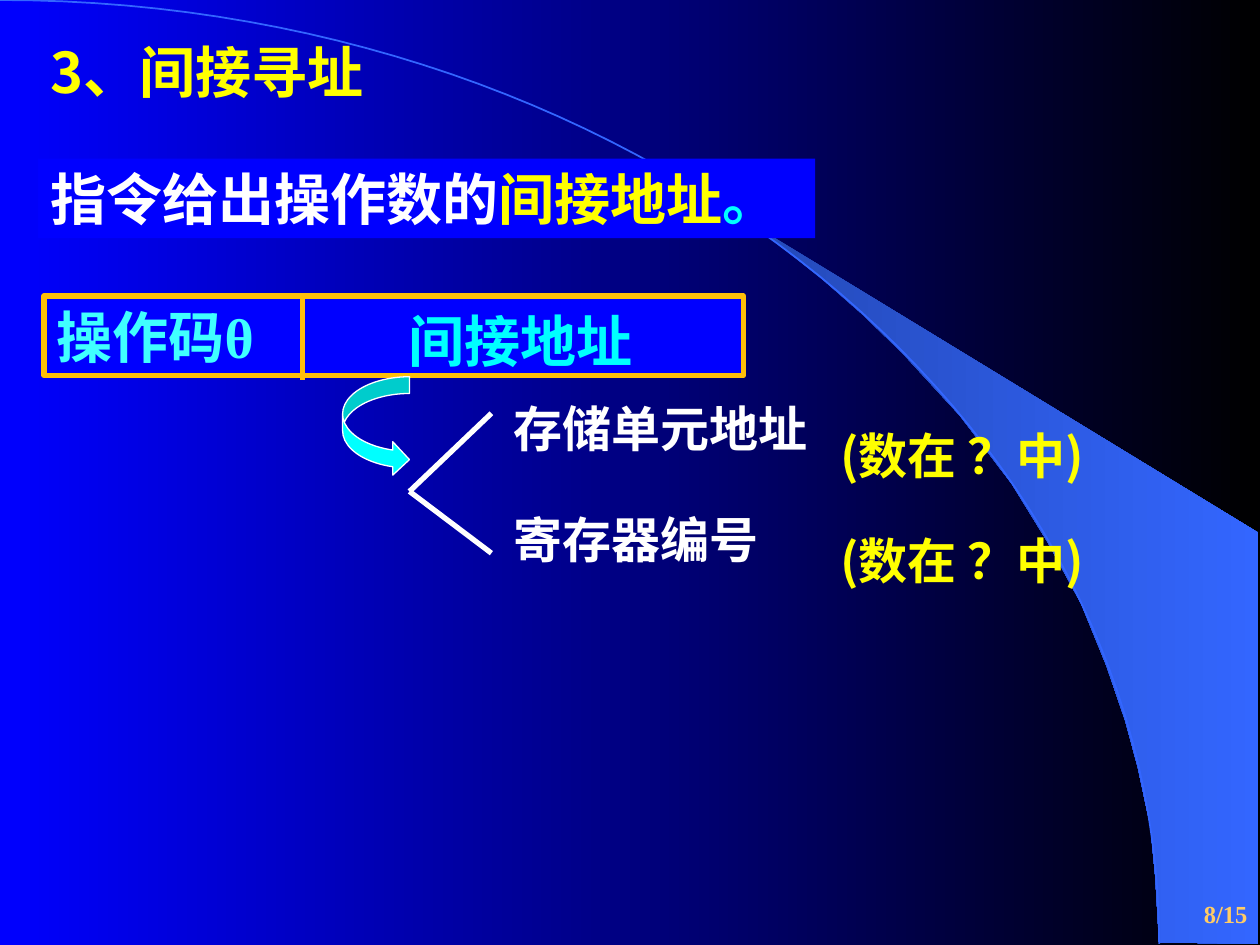
from lxml.etree import SubElement
from pptx import Presentation
from pptx.dml.color import RGBColor
from pptx.enum.shapes import MSO_CONNECTOR, MSO_SHAPE
from pptx.enum.text import MSO_ANCHOR, MSO_AUTO_SIZE, PP_ALIGN
from pptx.oxml.ns import qn
from pptx.util import Pt

BLUE = RGBColor(0x00, 0x00, 0xFF)
BLACK = RGBColor(0x00, 0x00, 0x00)
BAND_DARK = RGBColor(0x24, 0x49, 0xB6)
BAND_LIGHT = RGBColor(0x33, 0x66, 0xFF)
YELLOW = RGBColor(0xFF, 0xFF, 0x00)
WHITE = RGBColor(0xFF, 0xFF, 0xFF)
CYAN = RGBColor(0x00, 0xFF, 0xFF)
LIGHT_CYAN = RGBColor(0x40, 0xFF, 0xFF)
GOLD = RGBColor(0xFF, 0xBF, 0x09)
SAND = RGBColor(0xFF, 0xCC, 0x66)
SANS = "Noto Sans CJK SC"
SERIF = "Times New Roman"

BAND = [(662.4, 538.6), (719.3, 539.3), (719.3, 304.6), (424.1, 124.6),
        (449.3, 143.3), (470.2, 159.8), (493.2, 180), (515.5, 201.6),
        (548.6, 237.6), (578.2, 276.5), (599, 310.3), (617.8, 344.9),
        (632.2, 380.2), (643, 411.8), (650.2, 438.5), (657.4, 472.3),
        (660.2, 501.1)]
ARC = [(0, 0), (365.8, 0), (662.4, 241.2), (662.4, 539.3)]


def set_gradient(fill, *colors):
    """Fill with a left-to-right gradient."""
    fill.gradient()
    fill.gradient_angle = 0
    for stop, color in zip(fill.gradient_stops, colors):
        stop.color.rgb = color


def set_line(line, color, width):
    """Give a line its colour and width."""
    line.color.rgb = color
    line.width = Pt(width)


def bezier(points, steps=60):
    """Return points along a cubic curve."""
    weights = [((1 - t) ** 3, 3 * t * (1 - t) ** 2, 3 * t * t * (1 - t), t ** 3)
               for t in (i / steps for i in range(steps + 1))]
    return [tuple(sum(w * p[axis] for w, p in zip(ws, points)) for axis in (0, 1))
            for ws in weights]


def add_outline(s, points, close):
    """Draw a freeform through the points."""
    pts = [(Pt(x), Pt(y)) for x, y in points]
    builder = s.shapes.build_freeform(*pts[0], scale=1.0)
    builder.add_line_segments(pts[1:], close=close)
    sp = builder.convert_to_shape()
    sp.shadow.inherit = False
    return sp


def add_shape(s, kind, box, fill, line=None, width=0):
    """Add a filled preset shape."""
    sp = s.shapes.add_shape(kind, *map(Pt, box))
    sp.shadow.inherit = False
    sp.fill.solid()
    sp.fill.fore_color.rgb = fill
    if line is None:
        sp.line.fill.background()
    else:
        set_line(sp.line, line, width)
    return sp


def add_line(s, start, end, color):
    """Add a straight line."""
    cxn = s.shapes.add_connector(MSO_CONNECTOR.STRAIGHT, *map(Pt, start + end))
    set_line(cxn.line, color, 3)
    SubElement(cxn._element.spPr, qn("a:effectLst"))


def write(sp, paragraphs, size, align=PP_ALIGN.LEFT, anchor=MSO_ANCHOR.MIDDLE,
          spacing=None, gap=0, wrap=True):
    """Write paragraphs of (text, font, colour) runs."""
    tf = sp.text_frame
    tf.auto_size = MSO_AUTO_SIZE.NONE
    tf.word_wrap = wrap
    tf.vertical_anchor = anchor
    for i, runs in enumerate(paragraphs):
        p = tf.add_paragraph() if i else tf.paragraphs[0]
        p.alignment = align
        p.line_spacing = spacing
        p.space_before = Pt(gap if i else 0)
        for text, font, color in runs:
            r = p.add_run()
            r.text = text
            r.font.size = Pt(size)
            r.font.bold = True
            r.font.name = font
            r.font.color.rgb = color
            SubElement(r._r.rPr, qn("a:ea")).set("typeface", SANS)


def add_text(s, box, paragraphs, size, **options):
    """Add a text box."""
    write(s.shapes.add_textbox(*map(Pt, box)), paragraphs, size, **options)


def add_backdrop(s):
    """Draw the gradient, the band and the arc."""
    set_gradient(s.background.fill, BLUE, BLACK)
    band = add_outline(s, BAND, True)
    set_gradient(band.fill, BAND_DARK, BAND_LIGHT)
    band.line.fill.background()
    arc = add_outline(s, bezier(ARC), False)
    arc.fill.background()
    set_line(arc.line, BAND_LIGHT, 1)


def add_title(s):
    """Place and format the title."""
    sp = s.shapes.title
    sp.left, sp.top, sp.width, sp.height = map(Pt, (21.6, 18, 275.8, 45.4))
    write(sp, [[("3、间接寻址", SANS, YELLOW)]], 32)


def add_instruction(s):
    """Draw the statement and the instruction format."""
    rect = MSO_SHAPE.RECTANGLE
    sp = add_shape(s, rect, (21.6, 90.7, 444.2, 45.4), BLUE)
    write(sp, [[("指令给出操作数的", SERIF, WHITE), ("间接地址", SERIF, YELLOW),
                ("。", SERIF, CYAN)]], 32)
    sp = add_shape(s, rect, (25.2, 169.2, 399.6, 45.4), BLUE, GOLD, 3)
    write(sp, [[("操作码θ", SERIF, LIGHT_CYAN)]], 32)
    add_line(s, (172.8, 169.2), (172.8, 217.4), GOLD)
    sp = add_shape(s, rect, (195.8, 175, 203, 35.3), BLUE)
    write(sp, [[("间接地址", SERIF, CYAN)]], 32, align=PP_ALIGN.CENTER,
          anchor=MSO_ANCHOR.TOP, spacing=Pt(35), wrap=False)


def add_branches(s):
    """Draw the two kinds of indirect address."""
    for y in (236.2, 316.1):
        add_line(s, (234, 280.8), (280.8, y), WHITE)
    add_text(s, (286.6, 236.2, 193.7, 110.2),
             [[(text, SERIF, WHITE)] for text in ("存储单元地址", "寄存器编号")],
             28, anchor=MSO_ANCHOR.TOP, spacing=0.6, gap=43)
    question = [("(数在 ", SANS, YELLOW), ("？", SERIF, YELLOW), ("中)", SANS, YELLOW)]
    add_text(s, (473, 236.2, 174.2, 108), [question] * 2, 28, gap=26.4)
    add_shape(s, MSO_SHAPE.CURVED_RIGHT_ARROW, (195.8, 215.3, 38.2, 56.9),
              CYAN, WHITE, 0.75)


def main():
    """Build and save the slide."""
    prs = Presentation()
    prs.slide_width, prs.slide_height = Pt(720), Pt(540)
    s = prs.slides.add_slide(prs.slide_layouts[5])
    add_backdrop(s)
    add_title(s)
    add_instruction(s)
    add_branches(s)
    add_text(s, (570.2, 504, 149.8, 36), [[("8/15", SERIF, SAND)]], 14,
             align=PP_ALIGN.RIGHT)
    prs.save("out.pptx")


if __name__ == "__main__":
    main()
